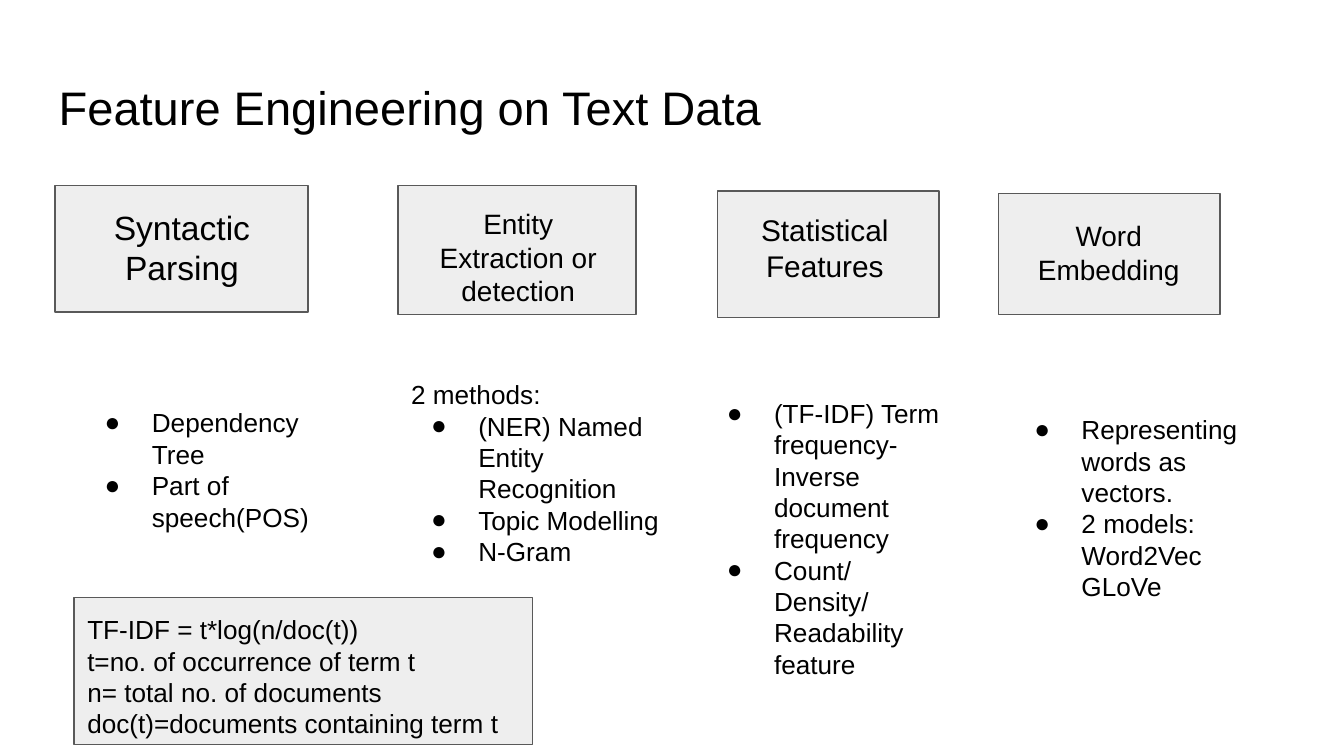
"""Build the slide on feature engineering for text data."""
from lxml.etree import SubElement
from pptx import Presentation
from pptx.dml.color import RGBColor
from pptx.enum.shapes import MSO_SHAPE
from pptx.enum.text import PP_ALIGN
from pptx.oxml.ns import qn
from pptx.util import Cm, Pt

COLORS = {"text": "000000", "fill": "EEEEEE", "line": "595959"}
FONT = "Arial"
TITLE = ("Feature Engineering on Text Data", (0.86, 1.24, 23.67, 1.6))

COLUMNS = [
    {
        "head": "Syntactic Parsing", "size": 18,
        "box": (1.04, 3.51, 4.78, 2.39), "label": (1.85, 3.66, 3.18, 2.06),
        "intro": [], "items": ["Dependency Tree", "Part of speech(POS)"],
        "body": (1.35, 7.44, 4.78, 3.02),
    },
    {
        "head": "Entity Extraction or detection", "size": 15,
        "box": (7.52, 3.51, 4.5, 2.44), "label": (7.7, 3.66, 4.19, 2.44),
        "intro": ["2 methods:"],
        "items": ["(NER) Named Entity Recognition", "Topic Modelling", "N-Gram"],
        "body": (7.52, 6.91, 5.33, 4.17),
    },
    {
        "head": "Statistical Features", "size": 16,
        "box": (13.56, 3.61, 4.19, 2.39), "label": (14.0, 3.76, 3.18, 1.88),
        "intro": [],
        "items": ["(TF-IDF) Term frequency- Inverse document frequency",
                  "Count/ Density/ Readability  feature"],
        "body": (13.11, 7.26, 5.08, 6.35),
    },
    {
        "head": "Word Embedding", "size": 15,
        "box": (18.87, 3.66, 4.19, 2.29), "label": (19.1, 3.89, 3.71, 1.8),
        "intro": [],
        "items": ["Representing words as vectors.", "2 models: Word2Vec GLoVe"],
        "body": (18.92, 7.57, 5.08, 5.21),
    },
]

FORMULA = {
    "lines": ["TF-IDF = t*log(n/doc(t))", "t=no. of occurrence of term t",
              "n= total no. of documents", "doc(t)=documents containing term t"],
    "box": (1.4, 11.3, 8.66, 2.77), "label": (1.4, 11.35, 8.64, 2.57),
}


def color(name):
    return RGBColor.from_string(COLORS[name])


def add_box(s, place):
    sp = s.shapes.add_shape(MSO_SHAPE.RECTANGLE, *map(Cm, place))
    sp.shadow.inherit = False
    sp.fill.solid()
    sp.fill.fore_color.rgb = color("fill")
    sp.line.color.rgb = color("line")
    sp.line.width = Pt(0.75)


def add_bullet(p):
    pPr = p._p.get_or_add_pPr()
    pPr.set("marL", str(Cm(1.27)))
    pPr.set("indent", str(Cm(-0.89)))
    clr = SubElement(pPr, qn("a:buClr"))
    SubElement(clr, qn("a:srgbClr"), val=COLORS["text"])
    SubElement(pPr, qn("a:buFont"), typeface=FONT)
    SubElement(pPr, qn("a:buChar"), char="●")


def add_text(s, lines, place, size=14, align=PP_ALIGN.LEFT, bullets=()):
    tf = s.shapes.add_textbox(*map(Cm, place)).text_frame
    tf.word_wrap = True
    tf.margin_left = tf.margin_right = tf.margin_top = tf.margin_bottom = Cm(0.25)
    for i, line in enumerate([*lines, *bullets]):
        p = tf.add_paragraph() if i else tf.paragraphs[0]
        p.alignment = align
        if i >= len(lines):
            add_bullet(p)
        r = p.add_run()
        r.text = line
        r.font.name = FONT
        r.font.size = Pt(size)
        r.font.color.rgb = color("text")


def main():
    prs = Presentation()
    prs.slide_width, prs.slide_height = Cm(25.4), Cm(14.29)
    s = prs.slides.add_slide(prs.slide_layouts[6])

    title, place = TITLE
    add_text(s, [title], place, size=25.2)
    for col in COLUMNS:
        add_box(s, col["box"])
        add_text(s, [col["head"]], col["label"], size=col["size"], align=PP_ALIGN.CENTER)
        add_text(s, col["intro"], col["body"], bullets=col["items"])
    add_box(s, FORMULA["box"])
    add_text(s, FORMULA["lines"], FORMULA["label"])
    prs.save("out.pptx")


if __name__ == "__main__":
    main()
